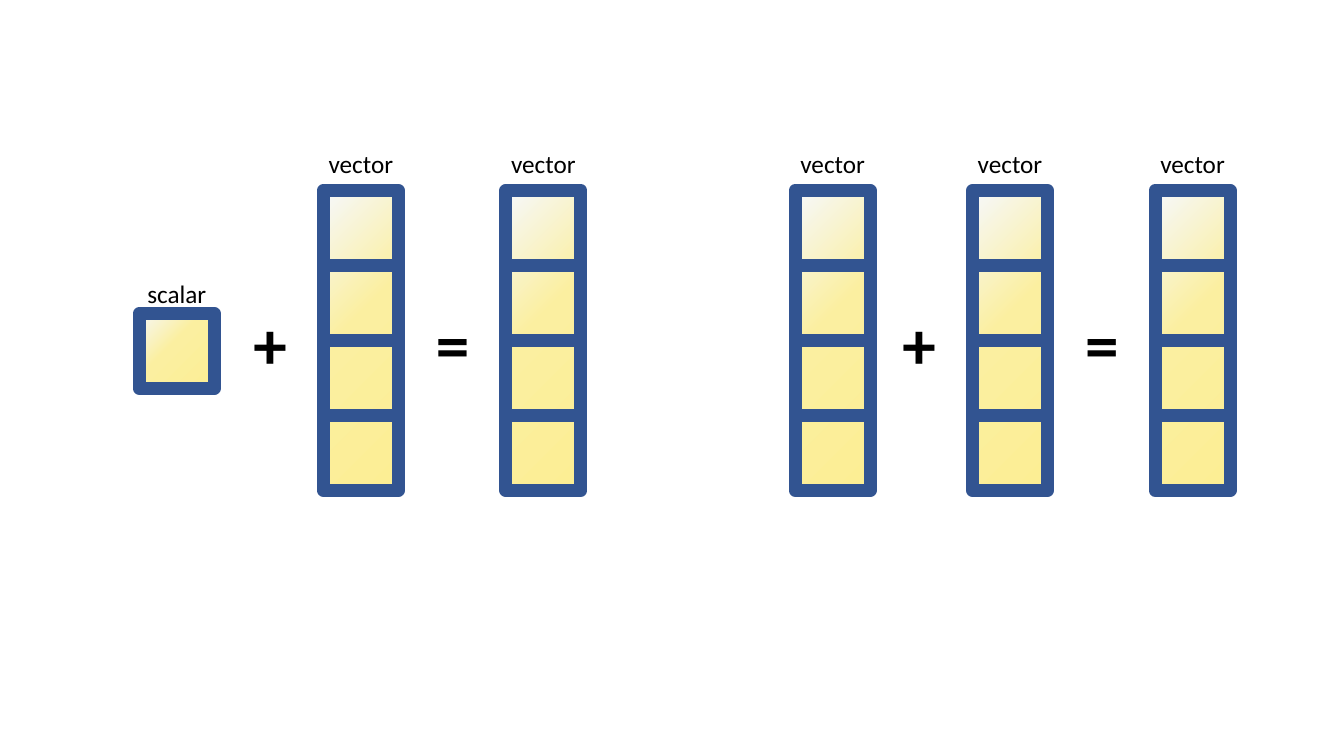
"""Build a slide that adds a scalar to a vector and a vector to a vector."""
from copy import deepcopy

from pptx import Presentation
from pptx.dml.color import RGBColor
from pptx.enum.shapes import MSO_SHAPE
from pptx.enum.text import MSO_AUTO_SIZE, PP_ALIGN
from pptx.oxml.ns import qn
from pptx.util import Cm, Pt

FONT = "Calibri"
BLACK, BLUE = "000000", "325491"
GRADIENT = [(0, "F6F8FC"), (0.43, "FBEFA0"), (1, "FCEE94")]

OPERANDS = {
    "scalar": {"cells": 1, "top": 7.9, "label_rise": 1.02, "label_width": 2.01, "bleed": 0.04},
    "vector": {"cells": 4, "top": 4.8, "label_rise": 1.19, "label_width": 2.16, "bleed": 0},
}
EQUATIONS = [
    (0, [("scalar", 3.51), ("+", 6.12), ("vector", 8.15), ("=", 10.72), ("vector", 12.75)]),
    (16.36, [("vector", 3.68), ("+", 6.12), ("vector", 8.15), ("=", 10.72), ("vector", 12.75)]),
]

CELL = 1.89
LABEL_HEIGHT = 1.02
OPERATOR_TOP, OPERATOR_WIDTH, OPERATOR_HEIGHT = 7.49, 1.37, 2.31


def color(value):
    return RGBColor.from_string(value)


def add_rectangle(slide, left, top, width, height):
    shape = slide.shapes.add_shape(
        MSO_SHAPE.RECTANGLE, Cm(left), Cm(top), Cm(width), Cm(height))
    shape.shadow.inherit = False
    return shape


def fill_gradient(shape):
    shape.fill.gradient()
    shape.fill.gradient_angle = 315
    stop_list = shape.element.spPr.find(qn("a:gradFill")).find(qn("a:gsLst"))
    stop_list.append(deepcopy(stop_list[-1]))
    for stop, (position, value) in zip(shape.fill.gradient_stops, GRADIENT):
        stop.position = position
        stop.color.rgb = color(value)


def add_text(slide, text, left, top, width, height, size, bold=False):
    box = slide.shapes.add_textbox(Cm(left), Cm(top), Cm(width), Cm(height))
    frame = box.text_frame
    frame.word_wrap = False
    frame.auto_size = MSO_AUTO_SIZE.SHAPE_TO_FIT_TEXT
    paragraph = frame.paragraphs[0]
    paragraph.alignment = PP_ALIGN.CENTER
    run = paragraph.add_run()
    run.text = text
    run.font.name = FONT
    run.font.size = Pt(size)
    run.font.bold = bold
    run.font.color.rgb = color(BLACK)


def add_operand(slide, name, left):
    operand = OPERANDS[name]
    top, bleed, width = operand["top"], operand["bleed"], operand["label_width"]
    background = add_rectangle(
        slide, left - bleed, top - bleed,
        CELL + 2 * bleed, operand["cells"] * CELL + 2 * bleed)
    fill_gradient(background)
    background.line.fill.background()
    for row in range(operand["cells"]):
        cell = add_rectangle(slide, left, top + row * CELL, CELL, CELL)
        cell.fill.background()
        cell.line.color.rgb = color(BLUE)
        cell.line.width = Pt(9.25)
    add_text(slide, name, left + (CELL - width) / 2, top - operand["label_rise"],
             width, LABEL_HEIGHT, 18)


def main():
    presentation = Presentation()
    presentation.slide_width, presentation.slide_height = Cm(33.87), Cm(19.05)
    slide = presentation.slides.add_slide(presentation.slide_layouts[6])
    for start, terms in EQUATIONS:
        for term, offset in terms:
            if term in OPERANDS:
                add_operand(slide, term, start + offset)
            else:
                add_text(slide, term, start + offset, OPERATOR_TOP,
                         OPERATOR_WIDTH, OPERATOR_HEIGHT, 48, bold=True)
    presentation.save("out.pptx")


if __name__ == "__main__":
    main()
